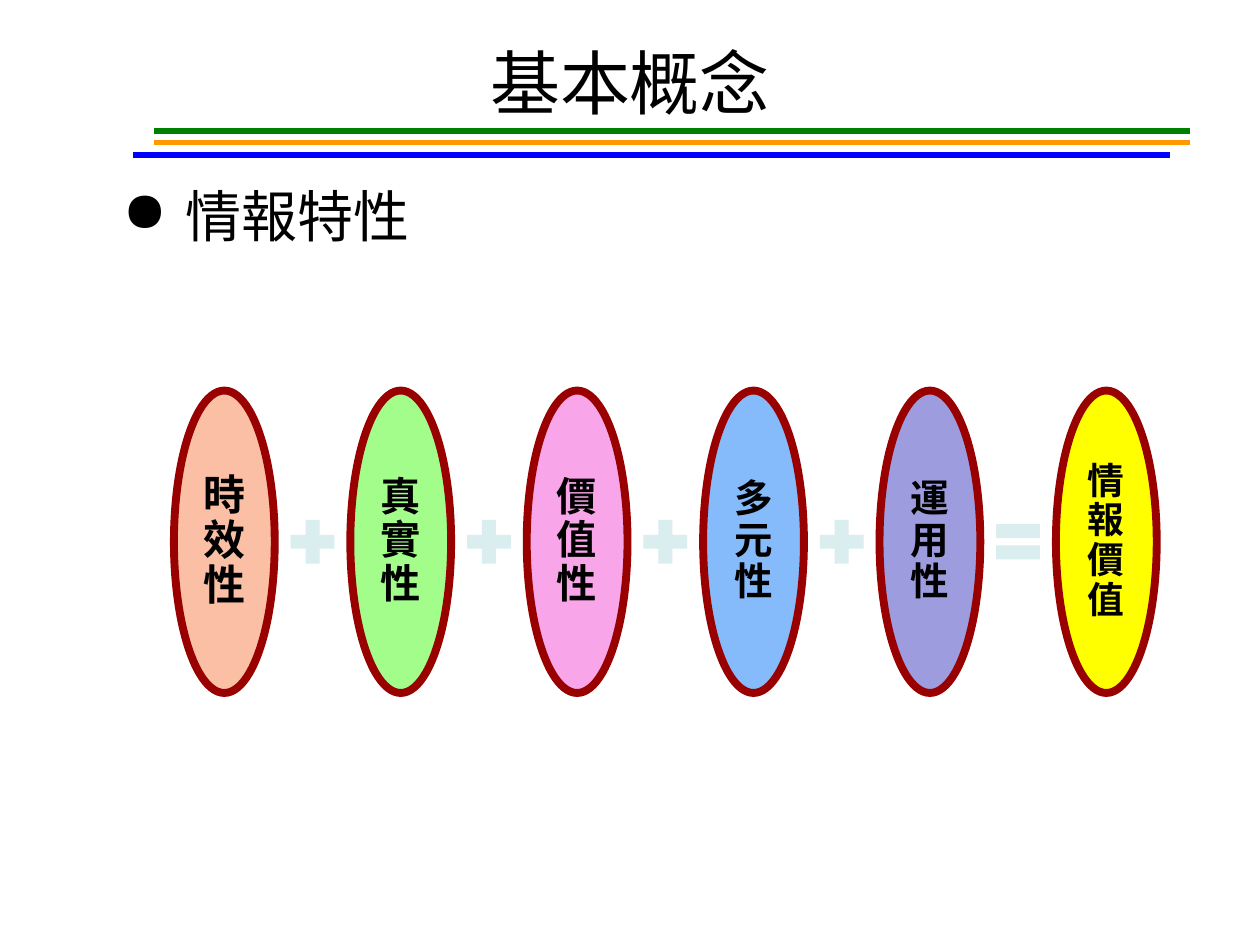
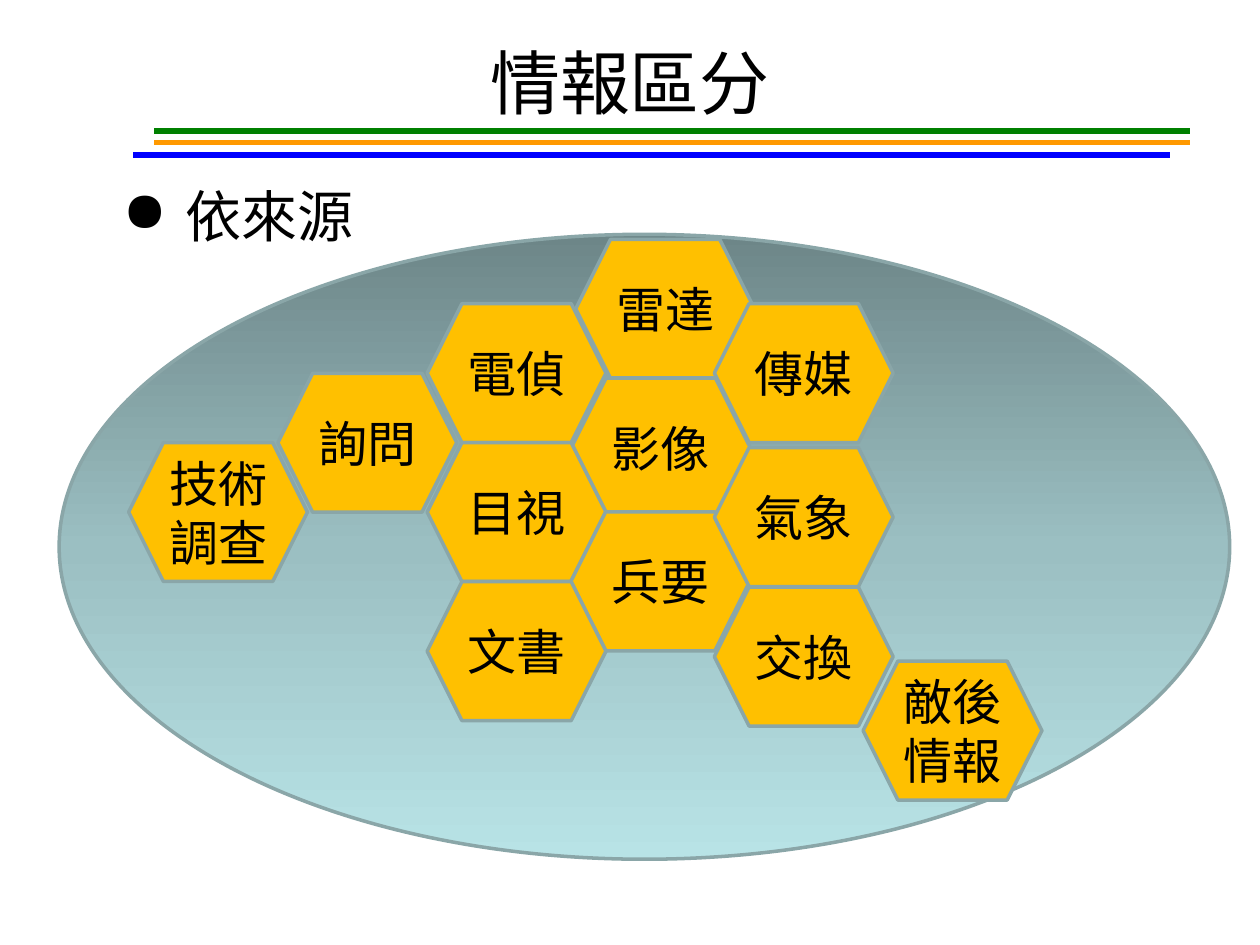
import copy

import pptx
import pptx.dml.color
import pptx.enum.shapes
import pptx.enum.text
import pptx.oxml.ns
import pptx.util
from lxml import etree

Pt = pptx.util.Pt
SHAPES = pptx.enum.shapes.MSO_SHAPE
ANCHORS = pptx.enum.text.MSO_ANCHOR
ALIGN = pptx.enum.text.PP_ALIGN
qn = pptx.oxml.ns.qn

LATIN_FONT = "Arial"
CJK_FONT = "Noto Sans CJK SC"
COLORS = {
    "text": "000000",
    "green": "008000",
    "orange": "FF9900",
    "blue": "0000FF",
    "oval_edge": "990000",
    "operator": "DAEDEF",
    "hexagon": "FFC000",
    "hexagon_edge": "8AA6A8",
    "field_top": "6D8688",
    "field_middle": "9BBFC2",
    "field_bottom": "B8E3E6",
    "timely": "FABFA4",
    "truthful": "A3FD8B",
    "valuable": "F9A5E9",
    "diverse": "85BAFB",
    "usable": "9C9CDF",
    "result": "FFFF00",
}

# Rules under the title: colour, left, top
RULES = [("orange", 87.8, 81.4), ("blue", 76.3, 88.6), ("green", 87.8, 74.9)]
RULE_LENGTH = 592

# Ovals: label, colour, text size
TRAITS = [
    ("時效性", "timely", 24),
    ("真實性", "truthful", 23),
    ("價值性", "valuable", 23),
    ("多元性", "diverse", 22),
    ("運用性", "usable", 22),
    ("情報價值", "result", 21),
]
OVAL_LEFT, OVAL_TOP, OVAL_WIDTH, OVAL_HEIGHT = 99.4, 223.2, 57.6, 172.8
OVAL_PITCH = 100.8
OPERATOR_SIZE = 34
LABEL_WIDTH, LABEL_HEIGHT = 41, 122.4

# Hexagons: lines of text, left, top
SOURCES = [
    (["電偵"], 244.1, 173.5),
    (["雷達"], 329, 136.8),
    (["影像"], 326.5, 216),
    (["傳媒"], 408.2, 173.5),
    (["目視"], 244.1, 252.9),
    (["兵要"], 326.2, 292.5),
    (["氣象"], 408.2, 255.8),
    (["文書"], 244.1, 332.4),
    (["詢問"], 158.8, 213.3),
    (["技術", "調查"], 73.5, 252.9),
    (["交換"], 408.2, 335.5),
    (["敵後", "情報"], 493.2, 377.8),
]
HEXAGON_WIDTH, HEXAGON_HEIGHT = 102.2, 79.4


def color(name):
    return pptx.dml.color.RGBColor.from_string(COLORS[name])


def add_run(para, text, size, bold=False):
    run = para.add_run()
    run.text = text
    run.font.size = Pt(size)
    run.font.bold = bold
    run.font.color.rgb = color("text")
    run.font.name = LATIN_FONT
    east_asian = etree.SubElement(run.font._element, qn("a:ea"))
    east_asian.set("typeface", CJK_FONT)


def add_text_box(slide, left, top, width, height, anchor):
    box = slide.shapes.add_textbox(Pt(left), Pt(top), Pt(width), Pt(height))
    box.text_frame.word_wrap = True
    box.text_frame.vertical_anchor = anchor
    return box.text_frame


def add_plain_shape(slide, kind, left, top, width, height, fill, edge=None, weight=0):
    """Add a shape without shadow; fill or edge may be None."""
    shape = slide.shapes.add_shape(kind, Pt(left), Pt(top), Pt(width), Pt(height))
    shape.shadow.inherit = False
    if fill:
        shape.fill.solid()
        shape.fill.fore_color.rgb = color(fill)
    if edge:
        shape.line.color.rgb = color(edge)
        shape.line.width = Pt(weight)
    else:
        shape.line.fill.background()
    return shape


def add_rule(slide, name, left, top):
    rule = slide.shapes.add_connector(
        pptx.enum.shapes.MSO_CONNECTOR.STRAIGHT,
        Pt(left + RULE_LENGTH), Pt(top), Pt(left), Pt(top))
    rule.line.color.rgb = color(name)
    rule.line.width = Pt(3)
    etree.SubElement(rule._element.spPr, qn("a:effectLst"))


def add_title(slide, text):
    para = add_text_box(slide, 36, 21.6, 648, 49.7, ANCHORS.MIDDLE).paragraphs[0]
    para.alignment = ALIGN.CENTER
    add_run(para, text, 40)


def add_bullet(slide, text):
    para = add_text_box(slide, 36, 100, 648, 238, ANCHORS.TOP).paragraphs[0]
    properties = para._p.get_or_add_pPr()
    properties.set("marL", str(Pt(63)))
    properties.set("indent", str(Pt(-36)))
    etree.SubElement(properties, qn("a:buChar")).set("char", "●")
    add_run(para, text, 32)


def add_slide(deck, title, bullet):
    slide = deck.slides.add_slide(deck.slide_layouts[6])
    for rule in RULES:
        add_rule(slide, *rule)
    add_title(slide, title)
    add_bullet(slide, bullet)
    return slide


def add_trait(slide, left, label, fill, size):
    """Add an oval whose label reads downwards, one character a line."""
    add_plain_shape(slide, SHAPES.OVAL, left, OVAL_TOP, OVAL_WIDTH, OVAL_HEIGHT,
                    fill, "oval_edge", 4.5)
    frame = add_text_box(slide, left + (OVAL_WIDTH - LABEL_WIDTH) / 2,
                         OVAL_TOP + (OVAL_HEIGHT - LABEL_HEIGHT) / 2,
                         LABEL_WIDTH, LABEL_HEIGHT, ANCHORS.MIDDLE)
    frame.margin_left = frame.margin_right = Pt(2)
    frame.margin_top = frame.margin_bottom = Pt(2)
    para = frame.paragraphs[0]
    para.alignment = ALIGN.CENTER
    para.line_spacing = 0.9
    add_run(para, label, size, bold=True)


def add_operator(slide, kind, oval_left):
    """Centre a sign in the gap to the right of an oval."""
    middle = oval_left + (OVAL_WIDTH + OVAL_PITCH) / 2
    add_plain_shape(slide, kind, middle - OPERATOR_SIZE / 2,
                    OVAL_TOP + (OVAL_HEIGHT - OPERATOR_SIZE) / 2,
                    OPERATOR_SIZE, OPERATOR_SIZE, "operator")


def add_equation(slide):
    operators = [SHAPES.MATH_PLUS] * (len(TRAITS) - 2) + [SHAPES.MATH_EQUAL]
    for index, trait in enumerate(TRAITS):
        left = OVAL_LEFT + index * OVAL_PITCH
        add_trait(slide, left, *trait)
        if index < len(operators):
            add_operator(slide, operators[index], left)


def add_field(slide):
    field = add_plain_shape(slide, SHAPES.OVAL, 33.8, 133.9, 668.9, 357.1,
                            None, "hexagon_edge", 2)
    field.fill.gradient()
    field.fill.gradient_angle = 270
    stop_list = field._element.spPr.find(".//" + qn("a:gsLst"))
    stop_list.append(copy.deepcopy(stop_list[0]))
    names = ["field_top", "field_middle", "field_bottom"]
    for index, (stop, name) in enumerate(zip(field.fill.gradient_stops, names)):
        stop.position = index / 2
        stop.color.rgb = color(name)


def add_hexagon(slide, lines, left, top):
    hexagon = add_plain_shape(slide, SHAPES.HEXAGON, left, top, HEXAGON_WIDTH,
                              HEXAGON_HEIGHT, "hexagon", "hexagon_edge", 2)
    frame = hexagon.text_frame
    frame.vertical_anchor = ANCHORS.MIDDLE
    for index, line in enumerate(lines):
        para = frame.add_paragraph() if index else frame.paragraphs[0]
        para.alignment = ALIGN.CENTER
        add_run(para, line, 28)


def main():
    deck = pptx.Presentation()
    deck.slide_width, deck.slide_height = Pt(720), Pt(540)

    add_equation(add_slide(deck, "基本概念", "情報特性"))

    source_slide = add_slide(deck, "情報區分", "依來源")
    add_field(source_slide)
    for source in SOURCES:
        add_hexagon(source_slide, *source)

    deck.save("out.pptx")


if __name__ == "__main__":
    main()
